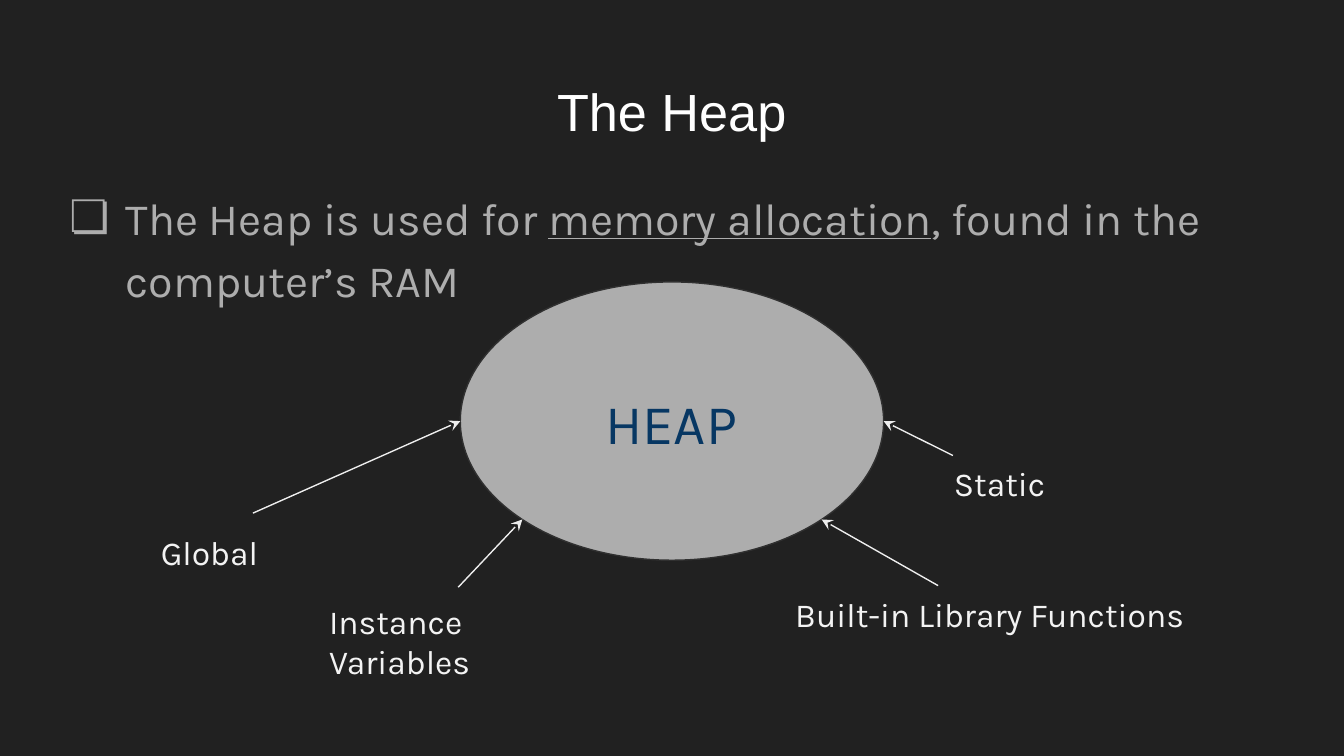
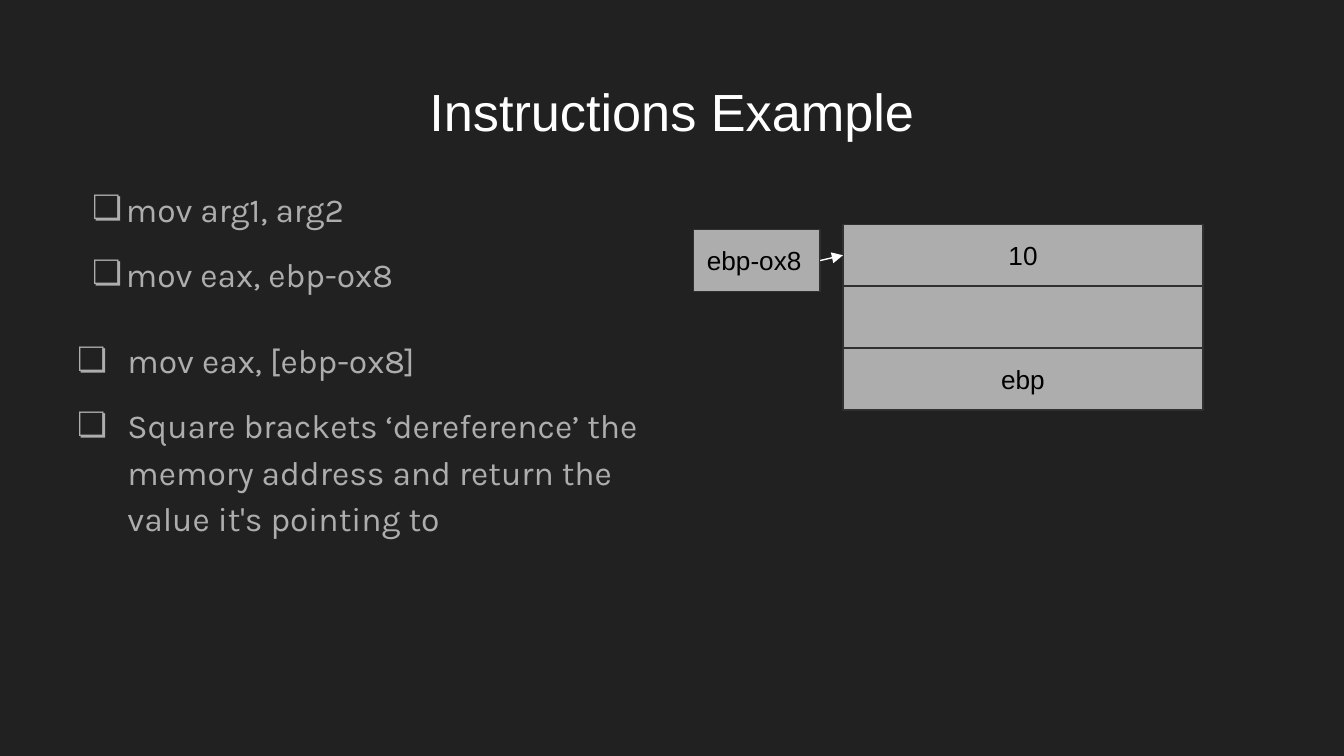
from dataclasses import dataclass
from math import cos, radians, sin
from typing import NamedTuple

from lxml.etree import SubElement
from pptx import Presentation
from pptx.dml.color import RGBColor
from pptx.enum.shapes import MSO_CONNECTOR, MSO_SHAPE
from pptx.enum.text import MSO_ANCHOR, PP_ALIGN
from pptx.oxml.ns import qn
from pptx.slide import Slide
from pptx.text.text import TextFrame
from pptx.util import Cm, Pt

BACKGROUND = "212121"
GREY = "ADADAD"
OUTLINE = "303030"
WHITE = "FFFFFF"
LABEL = "F3F3F3"
ARROW = "EEEEEE"
NAVY = "073763"
BLACK = "000000"
HEADING_FONT = "Arial"
BODY_FONT = "Karla"
INSET = 0.25


class Point(NamedTuple):
    x: float
    y: float


class Area(NamedTuple):
    left: float
    top: float
    width: float
    height: float

    def lengths(self) -> list[Cm]:
        return [Cm(value) for value in self]

    def at_angle(self, degrees: float) -> Point:
        angle = radians(degrees)
        return Point(
            self.left + self.width / 2 * (1 + cos(angle)),
            self.top + self.height / 2 * (1 + sin(angle)),
        )


class Span(NamedTuple):
    text: str
    underline: bool = False


@dataclass(frozen=True)
class Style:
    font: str
    size: float
    color: str
    align: PP_ALIGN = PP_ALIGN.LEFT


@dataclass(frozen=True)
class Bullets:
    hanging: float
    space_after: float
    indent: float = 1.27
    character: str = "\u274f"


@dataclass(frozen=True)
class Source:
    text: str
    area: Area
    start: Point
    angle: float


TITLE_AREA = Area(0.86, 1.24, 23.67, 1.6)
TITLE = Style(HEADING_FONT, 28, WHITE, PP_ALIGN.CENTER)
LEAD = Style(BODY_FONT, 24, GREY)
LIST = Style(BODY_FONT, 18, GREY)
SOURCE = Style(BODY_FONT, 18, LABEL)
HEAP = Style(BODY_FONT, 30, NAVY, PP_ALIGN.CENTER)
ADDRESS = Style(HEADING_FONT, 14, BLACK)
CELL = Style(HEADING_FONT, 14, BLACK, PP_ALIGN.CENTER)


def rgb(color: str) -> RGBColor:
    return RGBColor.from_string(color)


def write(
    frame: TextFrame,
    paragraphs: list[list[Span]],
    style: Style,
    bullets: Bullets | None = None,
) -> None:
    frame.word_wrap = True
    frame.margin_left = frame.margin_right = Cm(INSET)
    frame.margin_top = frame.margin_bottom = Cm(INSET)
    for index, spans in enumerate(paragraphs):
        para = frame.add_paragraph() if index else frame.paragraphs[0]
        para.alignment = style.align
        if bullets:
            para.line_spacing = 1.15
            para.space_after = Pt(bullets.space_after)
            properties = para._p.get_or_add_pPr()
            properties.set("marL", str(Cm(bullets.indent)))
            properties.set("indent", str(-Cm(bullets.hanging)))
            bullet_color = SubElement(properties, qn("a:buClr"))
            SubElement(bullet_color, qn("a:srgbClr"), val=style.color)
            SubElement(properties, qn("a:buFont"), typeface=style.font)
            SubElement(properties, qn("a:buChar"), char=bullets.character)
        for span in spans:
            run = para.add_run()
            run.text = span.text
            run.font.name = style.font
            run.font.size = Pt(style.size)
            run.font.color.rgb = rgb(style.color)
            if span.underline:
                run.font.underline = True


def add_text(
    page: Slide,
    area: Area,
    paragraphs: list[list[Span]],
    style: Style,
    bullets: Bullets | None = None,
) -> None:
    box = page.shapes.add_textbox(*area.lengths())
    write(box.text_frame, paragraphs, style, bullets)


def add_block(
    page: Slide, kind: MSO_SHAPE, area: Area, text: str = "", style: Style = CELL
) -> None:
    block = page.shapes.add_shape(kind, *area.lengths())
    block.shadow.inherit = False
    block.fill.solid()
    block.fill.fore_color.rgb = rgb(GREY)
    block.line.color.rgb = rgb(OUTLINE)
    block.line.width = Pt(0.75)
    if text:
        block.text_frame.vertical_anchor = MSO_ANCHOR.MIDDLE
        write(block.text_frame, [[Span(text)]], style)


def add_arrow(page: Slide, start: Point, end: Point, color: str, head: str) -> None:
    arrow = page.shapes.add_connector(
        MSO_CONNECTOR.STRAIGHT, *[Cm(value) for value in (*start, *end)]
    )
    arrow.line.color.rgb = rgb(color)
    arrow.line.width = Pt(0.75)
    properties = arrow._element.spPr
    SubElement(
        properties.find(qn("a:ln")), qn("a:tailEnd"), type=head, w="med", len="med"
    )
    SubElement(properties, qn("a:effectLst"))


def add_page(deck: Presentation, title: str) -> Slide:
    page = deck.slides.add_slide(deck.slide_layouts[6])
    page.background.fill.solid()
    page.background.fill.fore_color.rgb = rgb(BACKGROUND)
    add_text(page, TITLE_AREA, [[Span(title)]], TITLE)
    return page


def build_heap(deck: Presentation) -> None:
    page = add_page(deck, "The Heap")
    lead = [
        Span("The Heap is used for "),
        Span("memory allocation", underline=True),
        Span(", found in the computer\u2019s RAM"),
    ]
    add_text(page, Area(0.86, 3.2, 23.67, 2.13), [lead], LEAD, Bullets(1.07, 16))
    heap = Area(8.7, 5.33, 8, 5.26)
    add_block(page, MSO_SHAPE.OVAL, heap)
    add_text(page, Area(10.21, 7.09, 4.95, 1.19), [[Span("HEAP")]], HEAP)
    sources = [
        Source("Global", Area(2.79, 9.8, 2.36, 1.02), Point(4.78, 9.7), 180),
        Source("Instance Variables", Area(5.97, 11.1, 5.41, 1.02), Point(8.66, 11.1), 135),
        Source(
            "Built-in Library Functions", Area(14.78, 10.97, 8, 1.3), Point(17.73, 11.07), 45
        ),
        Source("Static", Area(17.78, 8.51, 2.36, 1.02), Point(18.01, 8.61), 0),
    ]
    for source in sources:
        add_text(page, source.area, [[Span(source.text)]], SOURCE)
        add_arrow(page, source.start, heap.at_angle(source.angle), ARROW, "stealth")


def build_instructions(deck: Presentation) -> None:
    page = add_page(deck, "Instructions Example")
    moves = [[Span("mov arg1, arg2")], [Span("mov eax, ebp-ox8")]]
    add_text(page, Area(0.86, 3.2, 11.86, 3), moves, LIST, Bullets(0.64, 10))

    stack = Area(15.93, 4.24, 6.81, 1.17)
    for row, text in enumerate(["10", "", "ebp"]):
        cell = stack._replace(top=stack.top + row * stack.height)
        add_block(page, MSO_SHAPE.RECTANGLE, cell, text)
    address = Area(13.11, 4.34, 2.39, 1.17)
    add_block(page, MSO_SHAPE.RECTANGLE, address, "ebp-ox8", ADDRESS)
    add_arrow(page, address.at_angle(0), stack.at_angle(180), WHITE, "triangle")

    dereference = [
        [Span("mov eax, [ebp-ox8]")],
        [
            Span(
                "Square brackets \u2018dereference\u2019 the memory address "
                "and return the value it's pointing to"
            )
        ],
    ]
    add_text(page, Area(0.89, 6.07, 12.19, 5.74), dereference, LIST, Bullets(0.95, 10))


def main() -> None:
    deck = Presentation()
    deck.slide_width = Cm(25.4)
    deck.slide_height = Cm(14.29)
    build_heap(deck)
    build_instructions(deck)
    deck.save("out.pptx")


main()
